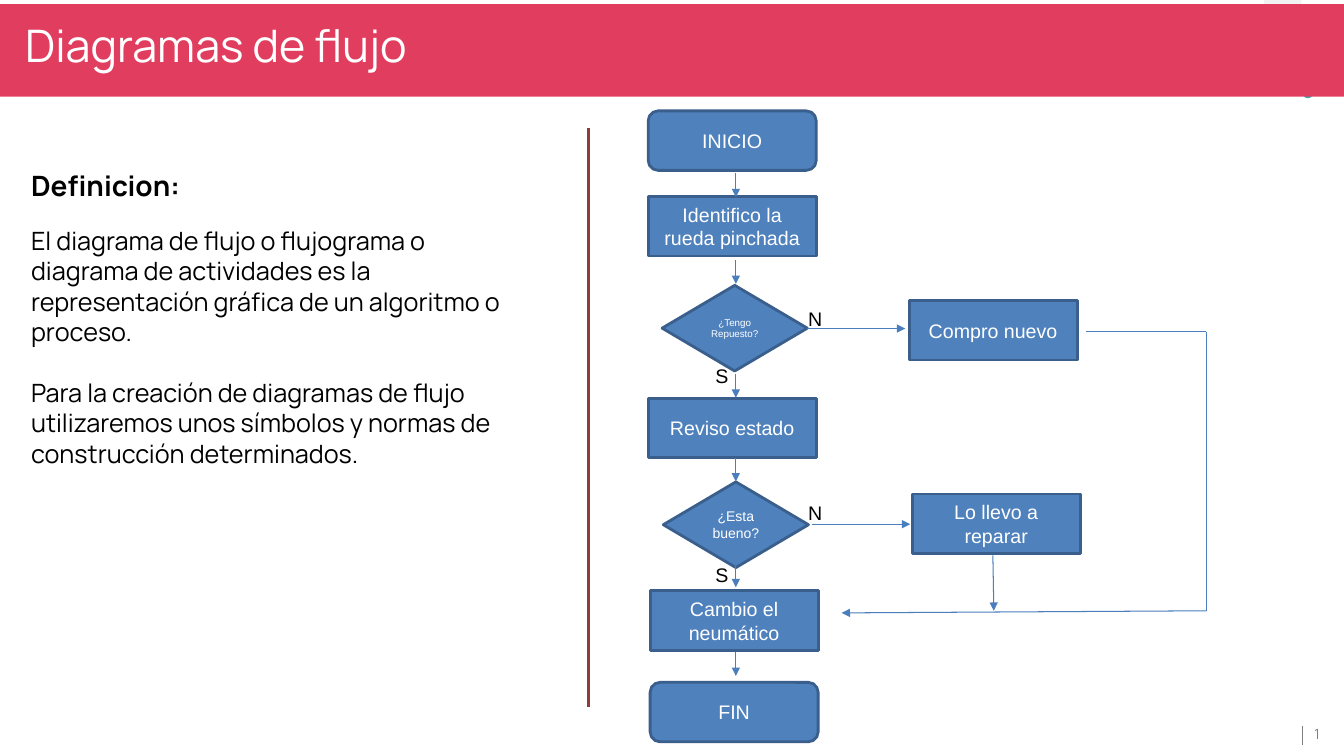
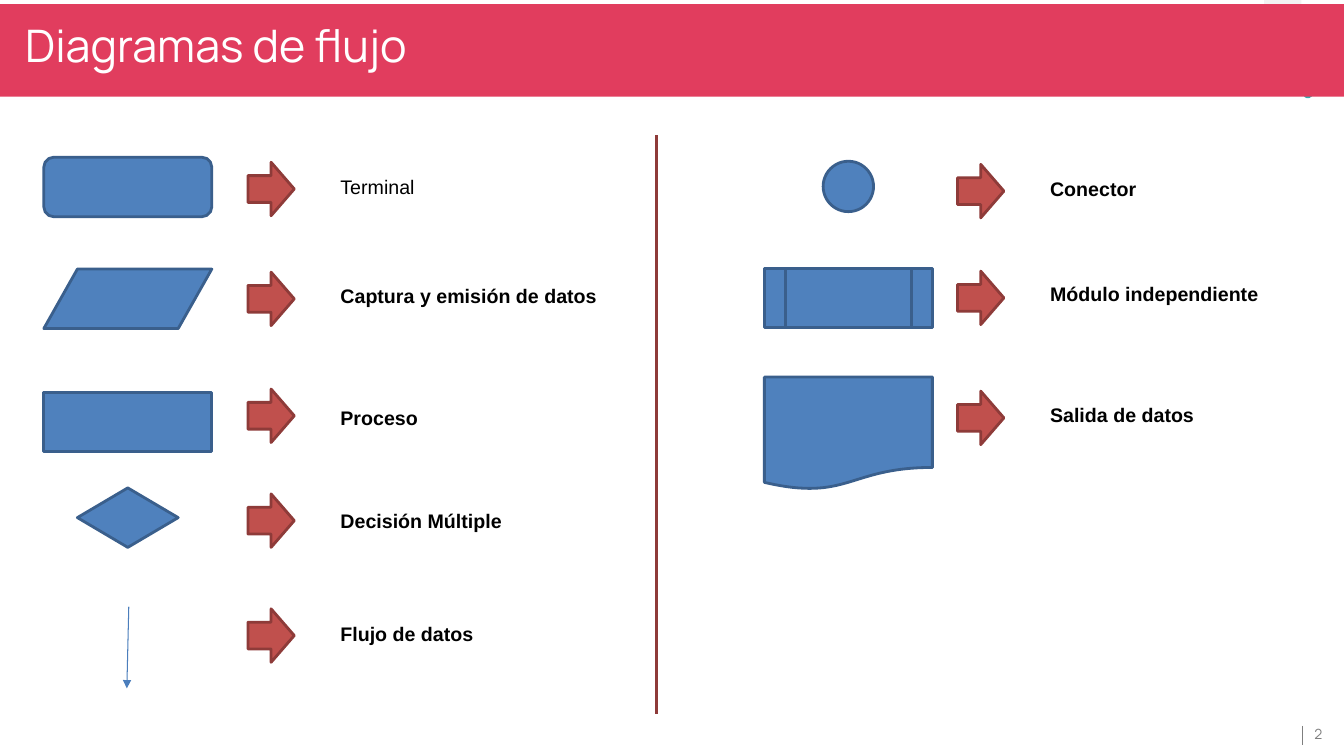
import pptx
import pptx.util
import pptx.oxml.ns
import pptx.oxml.xmlchemy
from pptx.dml.color import RGBColor
from pptx.enum.shapes import MSO_CONNECTOR, MSO_SHAPE
from pptx.enum.text import MSO_ANCHOR, PP_ALIGN

Pt = pptx.util.Pt
qn = pptx.oxml.ns.qn
OxmlElement = pptx.oxml.xmlchemy.OxmlElement

# Shared style
WHITE = RGBColor(0xFF, 0xFF, 0xFF)
BLACK = RGBColor(0, 0, 0)
GREY = RGBColor(0x7F, 0x7F, 0x7F)
PALE = RGBColor(0xF2, 0xF2, 0xF2)
TEAL = RGBColor(0x32, 0xAA, 0xAF)
BAND = RGBColor(0xE1, 0x3D, 0x5E)
BLUE = RGBColor(0x4F, 0x81, 0xBD)
BLUE_EDGE = RGBColor(0x3A, 0x5F, 0x8C)
FLOW = RGBColor(0x4B, 0x7E, 0xBC)
RED = RGBColor(0xC0, 0x50, 0x4D)
RED_EDGE = RGBColor(0x8E, 0x3B, 0x39)
TITLE_FONT, BODY_FONT = "Manrope", "Arial"
WIDTH, HEIGHT = 960, 540
BOX_W, BOX_H = 120, 42.5
TITLE = "Diagramas de flujo"

# Slide 1: definition, as text, size, bold, space after
DEFINITION = [
    ("Definicion:", 20, True, 16.2),
    ("El diagrama de flujo o flujograma o diagrama de actividades es la "
     "representación gráfica de un algoritmo o proceso.", 18, False, 21.7),
    ("Para la creación de diagramas de flujo utilizaremos unos símbolos y "
     "normas de construcción determinados.", 18, False, 0),
]

# Slide 1: flow chart, as text, left, top
TERMINALS = [("INICIO", 463, 79.2), ("FIN", 464.4, 487.4)]
STEPS = [
    ("Identifico la rueda pinchada", 463, 140.4),
    ("Compro nuevo", 649.4, 214.6),
    ("Reviso estado", 463, 284.4),
    ("Lo llevo a reparar", 651.6, 352.8),
    ("Cambio el neumático", 464.4, 421.9),
]
# text, left, top, text size
DECISIONS = [("¿Tengo Repuesto?", 473, 203.8, 7), ("¿Esta bueno?", 473.8, 344.2, 10)]
ANSWERS = [("N", 570.2, 216), ("N", 570.2, 354.2), ("S", 504, 256.3), ("S", 504, 398.2)]
FLOW_X, DROP = 525.6, 17
DROP_TOPS = [123.8, 185.8, 267.1, 326.9, 402.5, 465.8]
# x1, y1, x2, y2, arrowhead
BRANCHES = [
    (576.7, 234.7, 646.6, 234.7, True),
    (580.3, 374.4, 650.2, 374.4, True),
    (775.4, 236.9, 861.8, 236.9, False),
    (861.8, 236.9, 861.8, 436.7, False),
    (861.8, 436.3, 601.2, 437.8, True),
    (709.2, 396.7, 709.9, 436.3, True),
]

# Slide 2: columns of symbols, each row as
# label, bold, shape, width, height, shape top, arrow top, label top
SYMBOLS = [
    {"centre": 91.3, "arrow": 177.1, "rows": [
        ("Terminal", False, MSO_SHAPE.FLOWCHART_ALTERNATE_PROCESS,
         BOX_W, BOX_H, 112.3, 115.9, 121.7),
        ("Captura y emisión de datos", True, MSO_SHAPE.FLOWCHART_DATA,
         BOX_W, BOX_H, 192.2, 194.4, 199.4),
        ("Proceso", True, MSO_SHAPE.FLOWCHART_PROCESS,
         BOX_W, BOX_H, 280.1, 277.9, 286.6),
        ("Decisión Múltiple", True, MSO_SHAPE.FLOWCHART_DECISION,
         72, BOX_H, 348.5, 352.8, 360),
        ("Flujo de datos", True, None, 1.4, 58.3, 433.4, 434.9, 440.6),
    ]},
    {"centre": 606, "arrow": 684, "rows": [
        ("Conector", True, MSO_SHAPE.FLOWCHART_CONNECTOR,
         36, 36, 115.2, 117.4, 123.1),
        ("Módulo independiente", True, MSO_SHAPE.FLOWCHART_PREDEFINED_PROCESS,
         BOX_W, BOX_H, 191.5, 193.7, 198),
        ("Salida de datos", True, MSO_SHAPE.FLOWCHART_DOCUMENT,
         BOX_W, 80.6, 269.3, 279.4, 284.4),
    ]},
]
ARROW_W, ARROW_H, LABEL_OFFSET = 33.1, 38.2, 59


def set_font(font, size, color, name=BODY_FONT, bold=False):
    font.name, font.size, font.bold = name, Pt(size), bold
    font.color.rgb = color


def add_shape(s, kind, x, y, w, h, fill=BLUE, edge=BLUE_EDGE, text="", size=14):
    sp = s.shapes.add_shape(kind, Pt(x), Pt(y), Pt(w), Pt(h))
    sp.shadow.inherit = False
    sp.fill.solid()
    sp.fill.fore_color.rgb = fill
    if edge is None:
        sp.line.fill.background()
    else:
        sp.line.color.rgb = edge
        sp.line.width = Pt(2)
    if text:
        tf = sp.text_frame
        tf.word_wrap = True
        tf.vertical_anchor = MSO_ANCHOR.MIDDLE
        p = tf.paragraphs[0]
        p.text = text
        p.alignment = PP_ALIGN.CENTER
        set_font(p.font, size, WHITE)
    return sp


def add_line(s, x1, y1, x2, y2, color=FLOW, width=0.75, head=False):
    sp = s.shapes.add_connector(MSO_CONNECTOR.STRAIGHT, Pt(x1), Pt(y1), Pt(x2), Pt(y2))
    sp.line.color.rgb = color
    sp.line.width = Pt(width)
    spPr = sp.element.spPr
    if head:
        tail = OxmlElement("a:tailEnd")
        tail.set("type", "triangle")
        spPr.find(qn("a:ln")).append(tail)
    spPr.append(OxmlElement("a:effectLst"))


def add_text(s, x, y, w, h, text="", size=14, color=BLACK, name=BODY_FONT,
             bold=False, inset=None):
    tf = s.shapes.add_textbox(Pt(x), Pt(y), Pt(w), Pt(h)).text_frame
    tf.word_wrap = True
    if inset is not None:
        tf.margin_left = tf.margin_right = tf.margin_top = tf.margin_bottom = Pt(inset)
    if text:
        p = tf.paragraphs[0]
        p.text = text
        set_font(p.font, size, color, name, bold)
    return tf


def add_slide_number(s, number):
    add_line(s, 930.2, 518.4, 930.2, 532.1, GREY, 1)
    tf = add_text(s, 936, 514.1, 24, 20.2, str(number), inset=2.9)
    tf.vertical_anchor = MSO_ANCHOR.MIDDLE
    p = tf.paragraphs[0]
    r = p.runs[0]
    set_font(r.font, 10, GREY, TITLE_FONT)
    # Turn the run into a live slide number
    field = OxmlElement("a:fld")
    field.set("id", "{B6F15528-21DE-4FAA-801E-634DDDAF4B2B}")
    field.set("type", "slidenum")
    run = p._p.find(qn("a:r"))
    p._p.replace(run, field)
    field.extend(list(run))


def new_slide(prs):
    s = prs.slides.add_slide(prs.slide_layouts[6])
    # Corner ornament, mostly behind the band
    add_shape(s, MSO_SHAPE.RECTANGLE, 903, 0, 26.5, 6, PALE, None)
    bar = add_shape(s, MSO_SHAPE.ROUND_2_SAME_RECTANGLE, 943.9, 32.4, 6.5, 43.2, TEAL, None)
    bar.adjustments[0] = 0.5
    bar.rotation = 225
    # Title band
    add_shape(s, MSO_SHAPE.RECTANGLE, 0, 2.9, WIDTH, 66.2, BAND, None)
    add_text(s, 8.6, 2.9, 901.4, 46, TITLE, 32, WHITE, TITLE_FONT, inset=9.4)
    add_slide_number(s, len(prs.slides))
    return s


def build_definition(prs):
    s = new_slide(prs)
    tf = add_text(s, 15.1, 117, 368.6, 221)
    for i, (text, size, bold, after) in enumerate(DEFINITION):
        p = tf.paragraphs[0] if i == 0 else tf.add_paragraph()
        p.text = text
        p.line_spacing = Pt(size * 1.205)
        p.space_after = Pt(after)
        set_font(p.font, size, BLACK, TITLE_FONT, bold)
    add_line(s, 420.5, 91.4, 420.5, 504.7, RED_EDGE, 2)

    # Flow chart
    for kind, nodes in ((MSO_SHAPE.FLOWCHART_ALTERNATE_PROCESS, TERMINALS),
                        (MSO_SHAPE.FLOWCHART_PROCESS, STEPS)):
        for text, x, y in nodes:
            add_shape(s, kind, x, y, BOX_W, BOX_H, text=text)
    for text, x, y, size in DECISIONS:
        add_shape(s, MSO_SHAPE.FLOWCHART_DECISION, x, y, 103.7, 61.2, text=text, size=size)
    for y in DROP_TOPS:
        add_line(s, FLOW_X, y, FLOW_X, y + DROP, head=True)
    for x1, y1, x2, y2, head in BRANCHES:
        add_line(s, x1, y1, x2, y2, head=head)
    for text, x, y in ANSWERS:
        add_text(s, x, y, 30, 24.5, text)


def build_symbols(prs):
    s = new_slide(prs)
    add_line(s, 468.7, 96.5, 468.7, 509.8, RED_EDGE, 2)
    for column in SYMBOLS:
        arrow_x = column["arrow"]
        for label, bold, kind, w, h, top, arrow_top, label_top in column["rows"]:
            x = column["centre"] - w / 2
            if kind is None:
                add_line(s, x + w, top, x, top + h, head=True)
            else:
                add_shape(s, kind, x, top, w, h)
            add_shape(s, MSO_SHAPE.RIGHT_ARROW, arrow_x, arrow_top,
                      ARROW_W, ARROW_H, RED, RED_EDGE)
            add_text(s, arrow_x + LABEL_OFFSET, label_top, 210, 24.5, label, bold=bold)


def main():
    prs = pptx.Presentation()
    prs.slide_width, prs.slide_height = Pt(WIDTH), Pt(HEIGHT)
    build_definition(prs)
    build_symbols(prs)
    prs.save("out.pptx")


if __name__ == "__main__":
    main()
